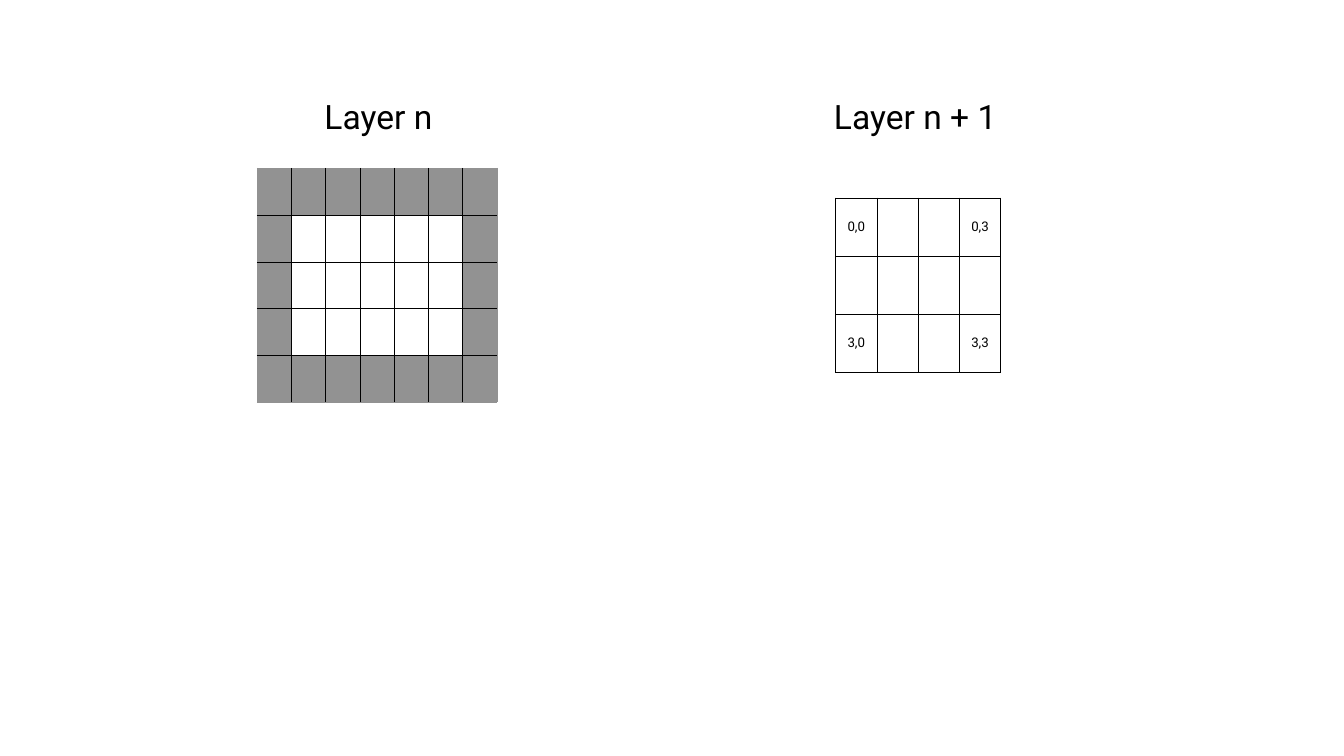
from dataclasses import dataclass, field

import lxml.etree
import pptx
import pptx.dml.color
import pptx.enum.text
import pptx.oxml.ns
import pptx.util

WIDTH, HEIGHT = 26.67, 15
MIDDLE, LABEL_TOP, LABEL_HIGH = 37.73, 12.8, 5.87
COLORS = {"ink": "000000", "pad": "929292", "paper": "FFFFFF"}
INSETS = {side: pptx.util.Inches(0.06) for side in
          ("margin_left", "margin_top", "margin_right", "margin_bottom")}
BOX = {**INSETS, "word_wrap": False,
       "vertical_anchor": pptx.enum.text.MSO_ANCHOR.MIDDLE,
       "auto_size": pptx.enum.text.MSO_AUTO_SIZE.SHAPE_TO_FIT_TEXT}
CELL = {**INSETS, "vertical_anchor": pptx.enum.text.MSO_ANCHOR.MIDDLE}


@dataclass
class Layer:
    """A labelled cell grid; lengths are percent of the slide's size."""
    label: str
    center: float
    cols: int
    rows: int
    cell_wide: float
    cell_high: float
    label_left: float
    label_wide: float
    padded: bool = False
    marks: dict[tuple[int, int], str] = field(default_factory=dict)


LAYERS = [
    Layer("Layer n", 28.06, 7, 5, 2.55, 6.19, 23.92, 8.7, padded=True),
    Layer("Layer n + 1", 68.32, 4, 3, 3.07, 7.71, 61.83, 12.97,
          marks={(0, 0): "0,0", (0, 3): "0,3", (2, 0): "3,0", (2, 3): "3,3"}),
]


def across(share: float) -> int:
    return pptx.util.Inches(WIDTH * share / 100)


def down(share: float) -> int:
    return pptx.util.Inches(HEIGHT * share / 100)


def apply(target, values: dict) -> None:
    for name, value in values.items():
        setattr(target, name, value)


def rgb(name: str) -> pptx.dml.color.RGBColor:
    return pptx.dml.color.RGBColor.from_string(COLORS[name])


def write(frame, text: str, size: float, align) -> None:
    para = frame.paragraphs[0]
    para.text = text
    apply(para, {"line_spacing": 0.9, "alignment": align})
    apply(para.font, {"name": "Roboto", "size": pptx.util.Pt(size)})
    para.font.color.rgb = rgb("ink")


def add_border(cell, side: str, color: str) -> None:
    qn = pptx.oxml.ns.qn
    props = cell._tc.get_or_add_tcPr()
    line = lxml.etree.SubElement(props, qn(f"a:ln{side}"), w=str(pptx.util.Pt(1)))
    fill = lxml.etree.SubElement(line, qn("a:solidFill"))
    lxml.etree.SubElement(fill, qn("a:srgbClr"), val=COLORS[color])


def style_cell(cell, layer: Layer, row: int, col: int) -> None:
    apply(cell, CELL)
    edges = {"L": col == 0, "R": col == layer.cols - 1,
             "T": row == 0, "B": row == layer.rows - 1}
    for side, outer in edges.items():
        add_border(cell, side, "pad" if layer.padded and outer else "ink")
    if layer.padded:
        cell.fill.solid()
        cell.fill.fore_color.rgb = rgb("pad" if any(edges.values()) else "paper")
    else:
        cell.fill.background()
    if (row, col) in layer.marks:
        write(cell.text_frame, layer.marks[row, col], 19,
              pptx.enum.text.PP_ALIGN.CENTER)


def add_grid(slide, layer: Layer) -> None:
    wide, high = layer.cols * layer.cell_wide, layer.rows * layer.cell_high
    table = slide.shapes.add_table(
        layer.rows, layer.cols, across(layer.center - wide / 2),
        down(MIDDLE - high / 2), across(wide), down(high)).table
    apply(table, {"first_row": False, "horz_banding": False})
    for row in range(layer.rows):
        for col in range(layer.cols):
            style_cell(table.cell(row, col), layer, row, col)


def add_label(slide, layer: Layer) -> None:
    box = slide.shapes.add_textbox(
        across(layer.label_left), down(LABEL_TOP),
        across(layer.label_wide), down(LABEL_HIGH))
    apply(box.text_frame, BOX)
    write(box.text_frame, layer.label, 48, pptx.enum.text.PP_ALIGN.LEFT)


def main() -> None:
    deck = pptx.Presentation()
    apply(deck, {"slide_width": across(100), "slide_height": down(100)})
    slide = deck.slides.add_slide(deck.slide_layouts[6])
    for draw in (add_grid, add_label):
        for layer in LAYERS:
            draw(slide, layer)
    deck.save("out.pptx")


if __name__ == "__main__":
    main()
